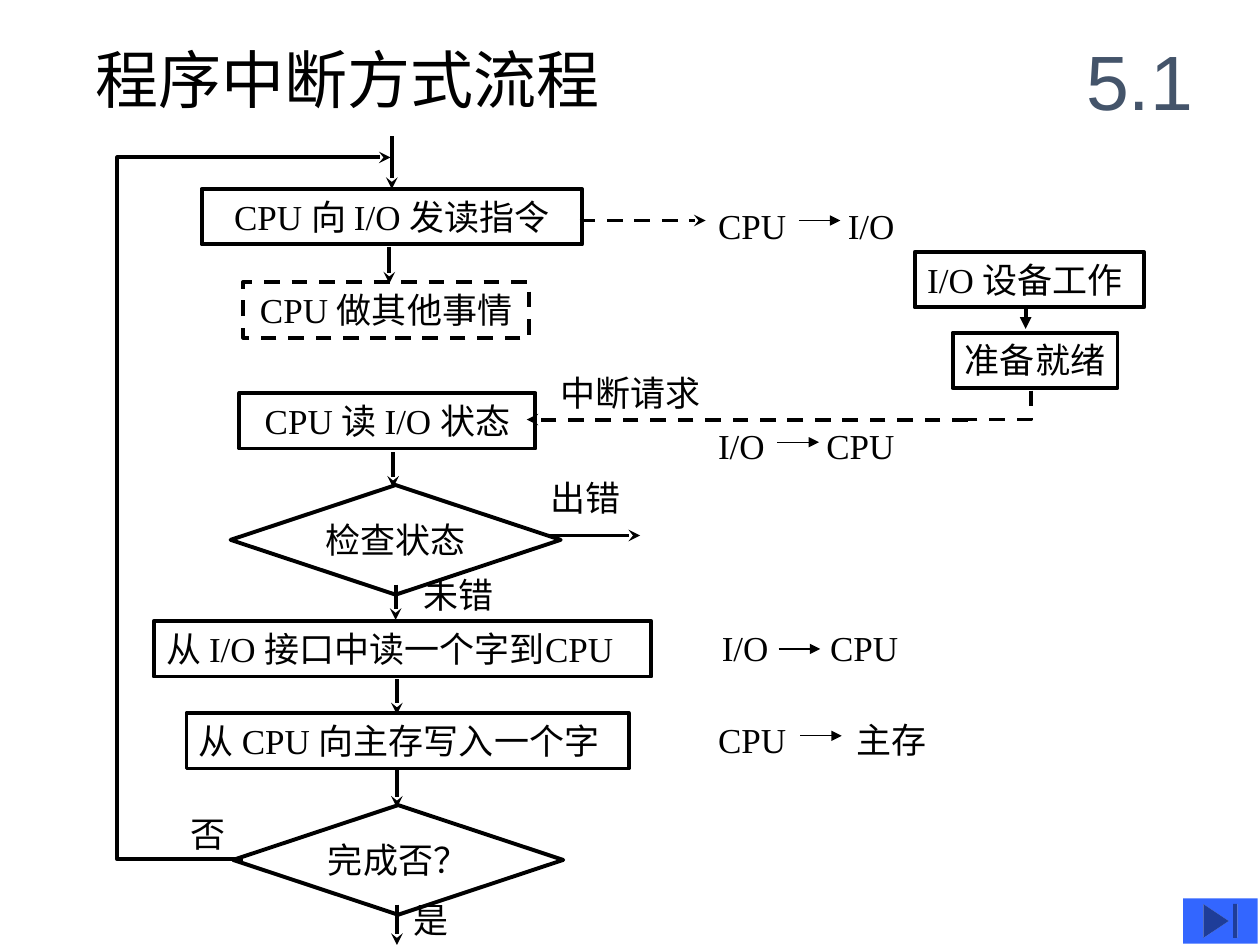
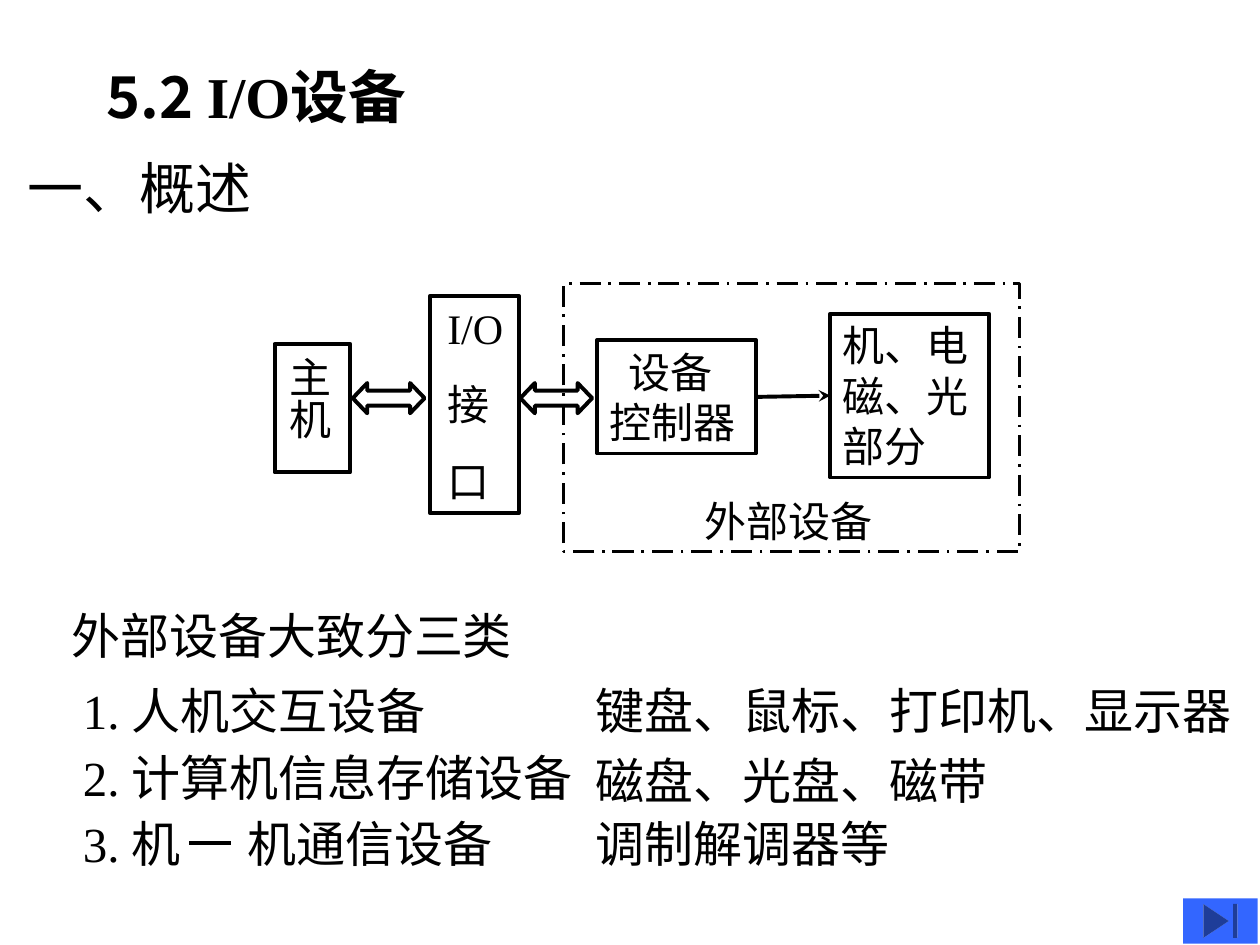
from dataclasses import dataclass
from typing import Any

from lxml import etree
from pptx import Presentation
from pptx import util as u
from pptx.dml.color import RGBColor
from pptx.enum import dml, shapes, text
from pptx.oxml.ns import qn

HUES = {"ink": "000000", "slate": "44546A", "blue": "3366FF"}
ROMAN, SANS, ARIAL = "Times New Roman", "Noto Sans CJK SC", "Arial"
KIND = shapes.MSO_SHAPE
DASH = dml.MSO_LINE.DASH
DOTS = dml.MSO_LINE.LONG_DASH_DOT
MID = text.PP_ALIGN.CENTER
ROW = 0.44


def hue(name):
    return RGBColor.from_string(HUES[name])


def put(item, values):
    for key, value in values.items():
        setattr(item, key, value)


def style(line, width=2.25, dash=None, tip=None):
    line.color.rgb = hue("ink")
    line.width = u.Pt(width)
    if dash:
        line.dash_style = dash
    if tip:
        etree.SubElement(line._ln, qn("a:tailEnd"), type=tip)


def add_run(par, words, size, font=ROMAN, tone="ink", bold=False):
    run = par.add_run()
    run.text = words
    put(run.font, {"size": u.Pt(size), "name": font, "bold": bold})
    run.font.color.rgb = hue(tone)
    etree.SubElement(run._r.get_or_add_rPr(), qn("a:ea"), typeface=SANS)


def set_tab(par, stop):
    tabs = etree.SubElement(par._p.get_or_add_pPr(), qn("a:tabLst"))
    etree.SubElement(tabs, qn("a:tab"), pos=str(u.Inches(stop)), algn="l")


def write(shape, lines, size=20, wrap=False, align=text.PP_ALIGN.LEFT,
          anchor=text.MSO_ANCHOR.TOP, gap=0, stop=None, **look):
    """Fill a shape with one paragraph for each line."""
    frame = shape.text_frame
    put(frame, {"word_wrap": wrap, "vertical_anchor": anchor,
                "auto_size": text.MSO_AUTO_SIZE.NONE})
    for i, words in enumerate(lines.split("\n")):
        par = frame.add_paragraph() if i else frame.paragraphs[0]
        par.alignment = align
        if i and gap:
            par.space_before = u.Pt(gap)
        if stop:
            set_tab(par, stop)
        add_run(par, words, size, **look)
    return frame


@dataclass
class Area:
    """A region of a slide; all places are inches from its corner."""
    slide: Any
    x: float
    y: float

    def spot(self, x, y):
        return u.Inches(self.x + x), u.Inches(self.y + y)

    def box(self, x, y, w, h=ROW, words="", kind=KIND.RECTANGLE,
            width=2.25, dash=None, **look):
        shape = self.slide.shapes.add_shape(
            kind, *self.spot(x, y), u.Inches(w), u.Inches(h))
        shape.shadow.inherit = False
        shape.fill.background()
        style(shape.line, width, dash)
        if words:
            write(shape, words, **look)
        return shape

    def note(self, x, y, w, words, h=ROW, **look):
        shape = self.slide.shapes.add_textbox(
            *self.spot(x, y), u.Inches(w), u.Inches(h))
        return write(shape, words, **look)

    def line(self, start, end, width=2.25, dash=None, tip="stealth"):
        link = self.slide.shapes.add_connector(
            shapes.MSO_CONNECTOR.STRAIGHT, *self.spot(*start), *self.spot(*end))
        style(link.line, width, dash, tip)
        etree.SubElement(link._element.spPr, qn("a:effectLst"))
        return link

    def bend(self, points, **look):
        first, *rest = [self.spot(*point) for point in points]
        path = self.slide.shapes.build_freeform(*first)
        path.add_line_segments(rest, close=False)
        shape = path.convert_to_shape()
        shape.shadow.inherit = False
        shape.fill.background()
        style(shape.line, **look)


def button(slide):
    shape = Area(slide, 9.39, 7.13).box(0, 0, 0.59, 0.36,
                                        kind=KIND.ACTION_BUTTON_END)
    shape.fill.solid()
    shape.fill.fore_color.rgb = hue("blue")
    shape.line.fill.background()


def flow(area):
    """The main column of steps, tests and arrows."""
    first = area.box(0.67, 0.42, 3.02, words="CPU 向 I/O 发读指令",
                     wrap=True, align=MID)
    area.box(1, 1.16, 2.27, words="CPU 做其他事情", dash=DASH, align=MID)
    area.box(0.97, 2.04, 2.35, words="CPU 读 I/O 状态", align=MID)
    area.box(0.29, 3.85, 3.95, words="从 I/O 接口中读一个字到CPU")
    area.box(0.55, 4.58, 3.51, words="从 CPU 向主存写入一个字")
    for x, y, words in ((0.9, 2.77, "检查状态"), (0.92, 5.31, "完成否？")):
        area.box(x, y, 2.62, 0.87, words, KIND.DIAMOND)

    area.line((2.18, 0), (2.18, 0.42)).end_connect(first, 0)
    for x, top, end in ((2.16, 0.88, 1.17), (2.19, 2.51, 2.79),
                        (2.21, 3.56, 3.84), (2.22, 4.31, 4.59),
                        (2.22, 5.03, 5.33), (2.22, 6.1, 6.42)):
        area.line((x, top), (x, end))
    area.line((3.4, 3.17), (4.15, 3.17))
    area.line((3.67, 0.67), (4.67, 0.67), dash=DASH)
    area.bend([(1, 5.74), (0, 5.74), (0, 0.17), (2.17, 0.17)], tip="stealth")

    for x, y, w, words in ((3.34, 2.65, 0.75, "出错"), (2.33, 3.42, 1.25, "未错"),
                           (2.25, 6, 0.48, "是"), (0.48, 5.32, 0.48, "否")):
        area.note(x, y, w, words)


def moves(area):
    """Notes on which way the data goes."""
    for x, y, words, stop, dx, dy in (
            (0, 0, "CPU\tI/O", 1.03, 0.74, 0.18),
            (0, 1.75, "I/O\tCPU", 0.86, 0.57, 0.19),
            (0.03, 3.35, "I/O\tCPU", 0.86, 0.55, 0.23),
            (0, 4.08, "CPU\t主存", 1.1, 0.75, 0.19)):
        area.note(x, y, 1.91, words, wrap=True, stop=stop)
        area.line((x + dx, y + dy), (x + dx + 0.33, y + dy), 0.75, tip="triangle")


def device(area):
    area.box(0, 0, 1.82, words="I/O 设备工作")
    area.box(0.3, 0.64, 1.31, words="准备就绪")
    area.line((0.88, 0.44), (0.88, 0.61), tip="triangle")
    area.bend([(0.92, 1.1), (0.92, 1.33), (0.34, 1.33)], dash=DASH)
    area.line((0.42, 1.33), (-3.08, 1.33), dash=DASH)
    area.note(-2.91, 0.9, 1.31, "中断请求")


def chain(area):
    """Host, interface and the parts of an external device."""
    host = area.box(0, 0.48, 0.6, 1.02, "主机", size=24, wrap=True).text_frame
    host._txBody.bodyPr.set("vert", "eaVert")
    port = area.box(1.23, 0.1, 0.71, 1.72, "I/O\n接\n口",
                    size=24, wrap=True, gap=15).text_frame
    for frame, sides in ((host, (0.05, 0.1, 0.13, 0.1)),
                         (port, (0.14, 0.05, 0.06, 0.05))):
        names = ("margin_left", "margin_top", "margin_right", "margin_bottom")
        put(frame, dict(zip(names, map(u.Inches, sides))))
    unit = area.box(2.56, 0.45, 1.26, 0.9, "设备\n控制器", size=24, wrap=True)
    indent = unit.text_frame.paragraphs[0]._p.get_or_add_pPr()
    indent.set("marL", str(u.Inches(0.15)))
    parts = area.box(4.41, 0.24, 1.26, 1.3, "机、电\n磁、光\n部分",
                     size=24, wrap=True)
    area.box(2.29, 0, 3.62, 2.13, width=1.5, dash=DOTS)
    area.note(3.31, 1.63, 2.28, "外部设备", h=0.5, size=24, wrap=True)
    link = area.line((3.82, 0.9), (4.41, 0.9))
    link.begin_connect(unit, 3)
    link.end_connect(parts, 1)
    for x in (0.62, 1.95):
        arrow = area.box(x, 0.79, 0.57, 0.24, kind=KIND.LEFT_RIGHT_ARROW)
        arrow.adjustments[0], arrow.adjustments[1] = 0.5, 0.48


def classes(area):
    look = {"h": 0.57, "size": 28, "wrap": True}
    area.note(0, 0, 4.83, "外部设备大致分三类", **look)
    rows = (("1. 人机交互设备", "键盘、鼠标、打印机、显示器", 0.59),
            ("2. 计算机信息存储设备", "磁盘、光盘、磁带", 1.15),
            ("3. 机\t机通信设备", "调制解调器等", 1.65))
    for i, (name, sample, y) in enumerate(rows):
        area.note(0.09, 0.59 + 0.53 * i, 4.58, name, stop=1.31, **look)
        area.note(4.16, y, 5.5, sample, **look)
    area.line((1.03, 1.93), (1.36, 1.93), tip=None)


def steps(slide):
    page = Area(slide, 0, 0)
    page.note(0.66, 0.27, 4.2, "程序中断方式流程", h=0.7, size=36)
    page.note(8.42, 0.17, 1.25, "5.1", h=0.92, size=44, wrap=True, align=MID,
              anchor=text.MSO_ANCHOR.MIDDLE, font=ARIAL, tone="slate")
    flow(Area(slide, 0.93, 1.08))
    moves(Area(slide, 5.6, 1.57))
    device(Area(slide, 7.26, 2))


def outline(slide):
    page = Area(slide, 0, 0)
    head = page.note(0.75, 0.17, 8.5, "5.2 ", h=1.25, size=33, wrap=True,
                     anchor=text.MSO_ANCHOR.MIDDLE, font=SANS, bold=True)
    title = head.paragraphs[0]
    title.line_spacing = 0.9
    for words, font in (("I/O", ROMAN), ("设备", SANS)):
        add_run(title, words, 33, font, bold=True)
    page.note(0.12, 1.17, 2.58, "一、概述", h=0.64, size=32, wrap=True)
    chain(Area(slide, 2.18, 2.25))
    classes(Area(slide, 0.47, 4.76))


def main():
    deck = Presentation()
    put(deck, {"slide_width": u.Inches(10), "slide_height": u.Inches(7.5)})
    for build in (steps, outline):
        slide = deck.slides.add_slide(deck.slide_layouts[6])
        build(slide)
        button(slide)
    deck.save("out.pptx")


if __name__ == "__main__":
    main()
